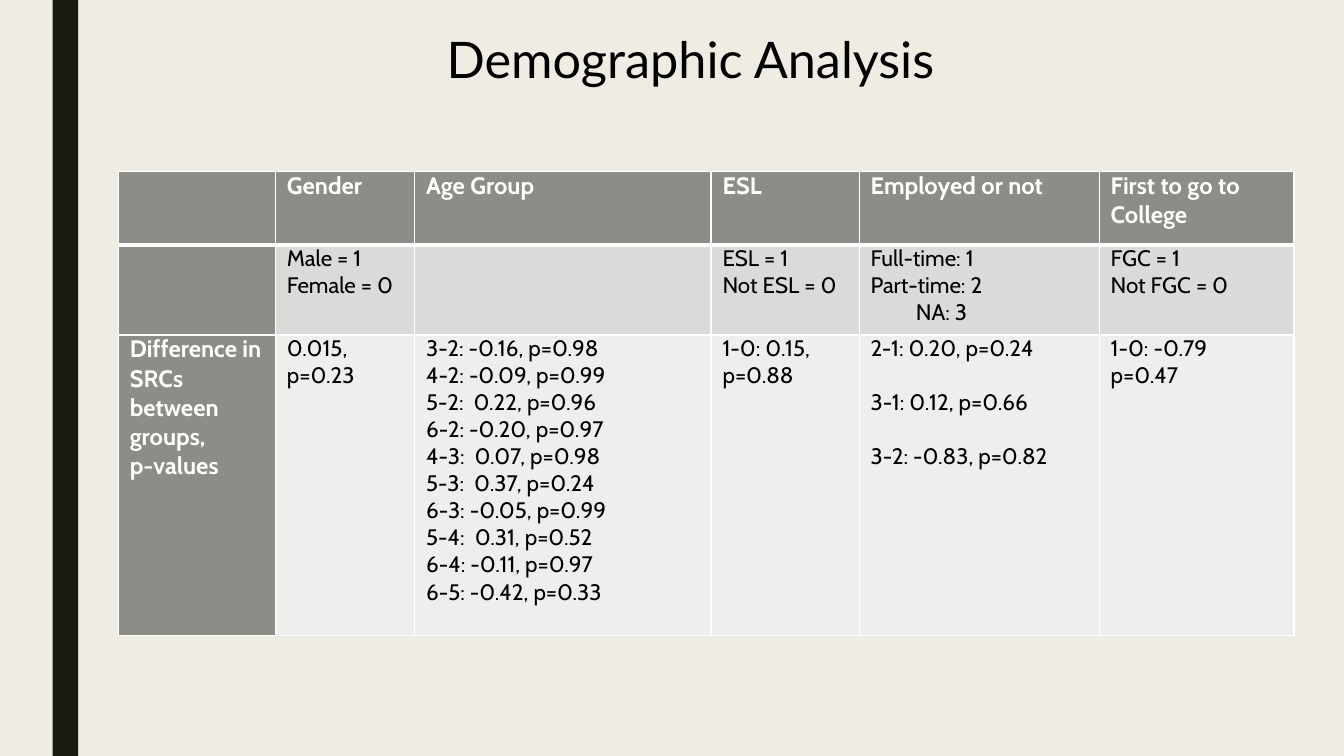
import pptx
import pptx.util
import pptx.dml.color
import pptx.enum.shapes
import pptx.enum.text
import pptx.oxml
import pptx.oxml.ns
from pptx.util import Cm, Pt

# Content: each cell is a list of paragraphs
TITLE = "Demographic Analysis"
ROWS = [
    [[], ["Gender"], ["Age Group"], ["ESL"], ["Employed or not"], ["First to go to College"]],
    [[], ["Male = 1 Female = 0"], [], ["ESL = 1", "Not ESL = 0"],
     ["Full-time: 1", "Part-time: 2", "NA: 3"], ["FGC = 1", "Not FGC = 0"]],
    [["Difference in SRCs between groups,", "p-values"],
     ["0.015, p=0.23"],
     ["3-2: -0.16, p=0.98", "4-2: -0.09, p=0.99", "5-2:  0.22, p=0.96",
      "6-2: -0.20, p=0.97", "4-3:  0.07, p=0.98", "5-3:  0.37, p=0.24",
      "6-3: -0.05, p=0.99", "5-4:  0.31, p=0.52", "6-4: -0.11, p=0.97",
      "6-5: -0.42, p=0.33"],
     ["1-0: 0.15,", "p=0.88"],
     ["2-1: 0.20, p=0.24", "3-1: 0.12, p=0.66", "3-2: -0.83, p=0.82"],
     ["1-0: -0.79", "p=0.47"]],
]
COLUMN_WIDTHS = [3.96, 3.51, 7.47, 3.73, 6.05, 4.91]
ROW_HEIGHTS = [1.85, 2.27, 7.57]
BODY_FILLS = [None, "DADBD9", "EEEEED"]
HEADING_FILL = "8C8D86"
EMPLOYED = 4
INDENTED = "NA: 3"


def colour(value):
    return pptx.dml.color.RGBColor.from_string(value)


def write(para, text, font, size, shade, bold=False):
    span = para.add_run()
    span.text = text
    span.font.name, span.font.size, span.font.bold = font, Pt(size), bold
    span.font.color.rgb = colour(shade)


def draw_borders(cell, top, bottom):
    widths = {"lnL": 1, "lnR": 1, "lnT": top, "lnB": bottom}
    properties = cell._tc.get_or_add_tcPr()
    for place, (side, width) in enumerate(widths.items()):
        properties.insert(place, pptx.oxml.parse_xml(
            f'<a:{side} {pptx.oxml.ns.nsdecls("a")} w="{Pt(width)}"><a:solidFill>'
            f'<a:srgbClr val="FFFFFF"/></a:solidFill></a:{side}>'))


def fill_cell(cell, lines, row, column):
    heading = row == 0 or column == 0
    cell.fill.solid()
    cell.fill.fore_color.rgb = colour(HEADING_FILL if heading else BODY_FILLS[row])
    cell.margin_left = cell.margin_right = Cm(0.29)
    cell.margin_top = cell.margin_bottom = 0
    draw_borders(cell, top=3 if row == 1 else 1, bottom=3 if row == 0 else 1)
    for number, line in enumerate(lines):
        frame = cell.text_frame
        para = frame.add_paragraph() if number else frame.paragraphs[0]
        if heading:
            write(para, line, "Cabin", 17, "FFFFFF", bold=True)
        else:
            write(para, line, "Cabin", 16, "000000")
        if row == 2 and column == EMPLOYED and number:
            para.space_before = Pt(19.4)
        if line == INDENTED:
            para._p.get_or_add_pPr().set("marL", str(Cm(1.14)))


# Page and background
deck = pptx.Presentation()
deck.slide_width, deck.slide_height = Cm(33.87), Cm(19.05)
page = deck.slides.add_slide(deck.slide_layouts[5])
page.background.fill.solid()
page.background.fill.fore_color.rgb = colour("EFEDE3")

# Side bar
bar = page.shapes.add_shape(pptx.enum.shapes.MSO_SHAPE.RECTANGLE,
                            Cm(1.33), 0, Cm(0.64), deck.slide_height)
bar.shadow.inherit = False
bar.fill.solid()
bar.fill.fore_color.rgb = colour("191B0E")
bar.line.fill.background()

# Title
title = page.shapes.title
title.left, title.top, title.width, title.height = Cm(10.72), Cm(0.56), Cm(13.36), Cm(1.8)
title.text_frame.word_wrap = False
title.text_frame.vertical_anchor = pptx.enum.text.MSO_ANCHOR.MIDDLE
heading_para = title.text_frame.paragraphs[0]
heading_para.alignment = pptx.enum.text.PP_ALIGN.CENTER
write(heading_para, TITLE, "Lato", 36, "000000")

# Table
table = page.shapes.add_table(len(ROWS), len(COLUMN_WIDTHS), Cm(2.98), Cm(4.32),
                              Cm(sum(COLUMN_WIDTHS)), Cm(sum(ROW_HEIGHTS))).table
for column, width in zip(table.columns, COLUMN_WIDTHS):
    column.width = Cm(width)
for row, height in zip(table.rows, ROW_HEIGHTS):
    row.height = Cm(height)
for row_number, cells in enumerate(ROWS):
    for column_number, lines in enumerate(cells):
        fill_cell(table.cell(row_number, column_number), lines, row_number, column_number)

deck.save("out.pptx")
